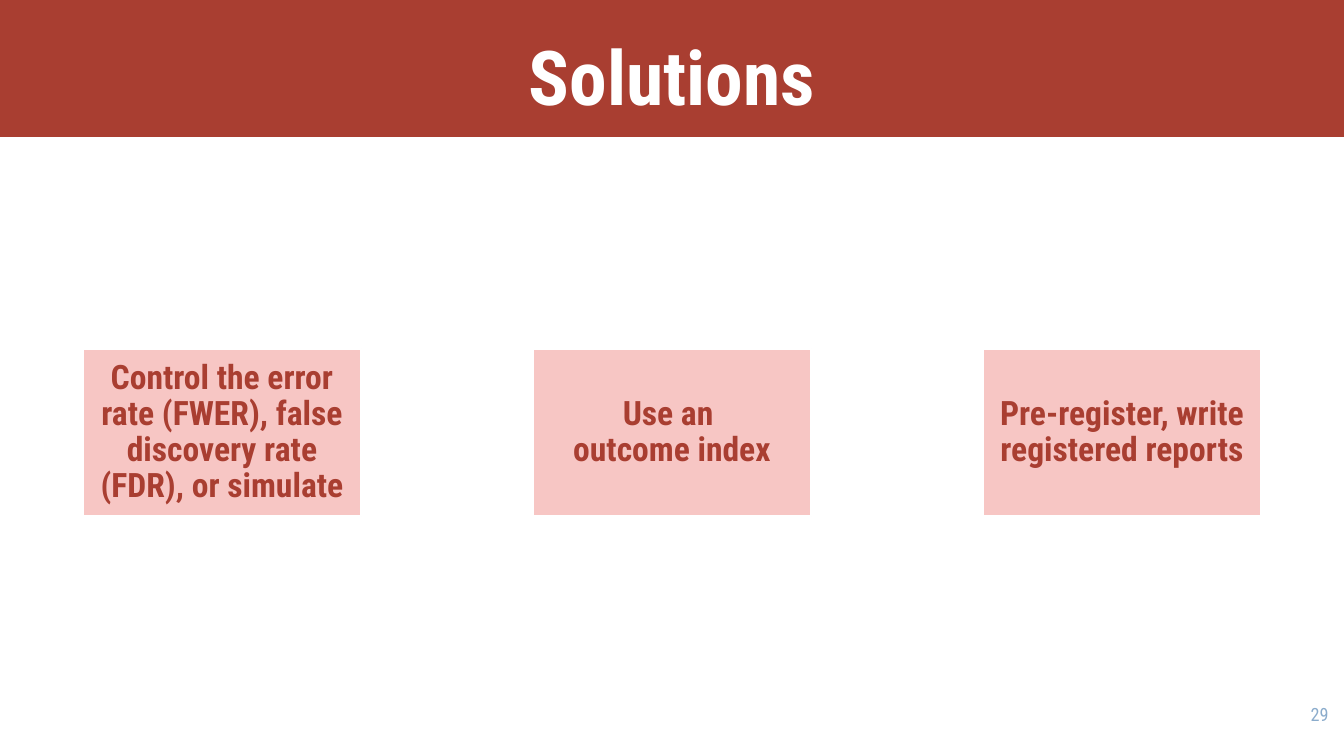
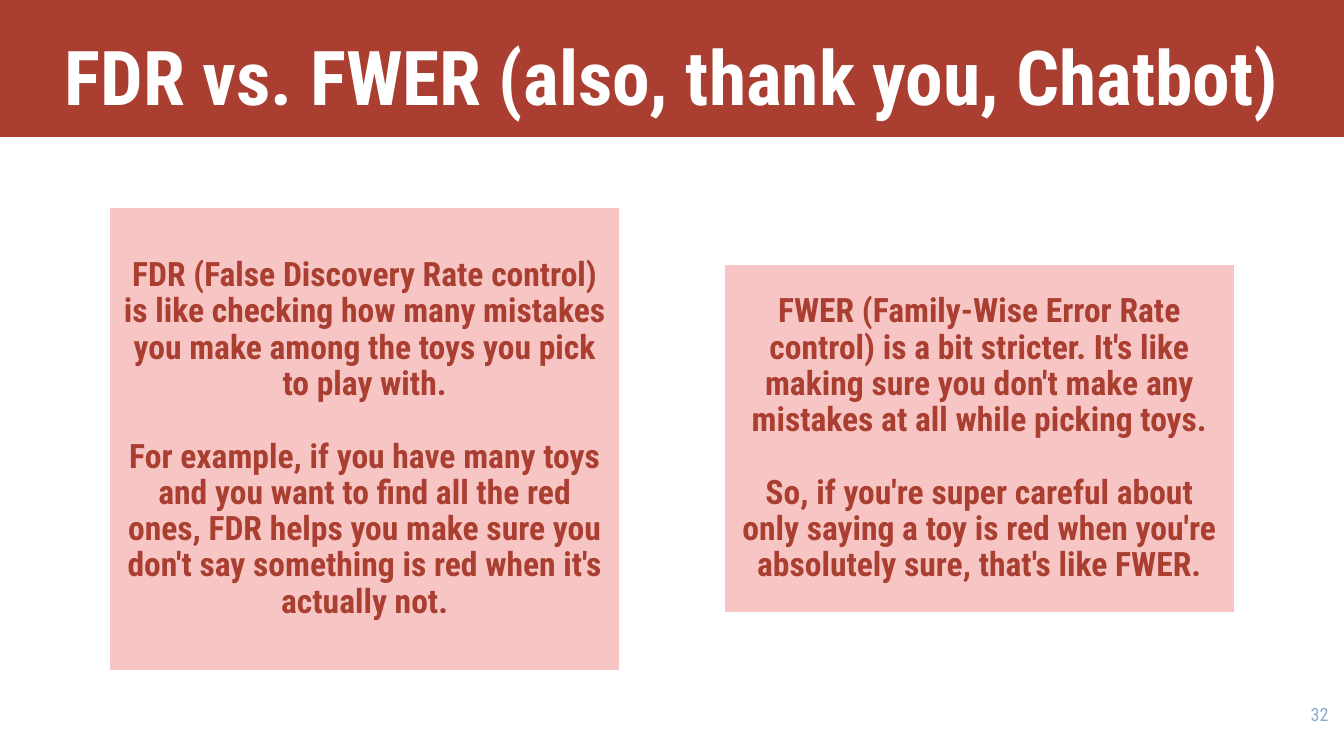
import pptx
import pptx.dml.color
import pptx.enum.shapes
import pptx.enum.text
import pptx.util

Cm = pptx.util.Cm
Pt = pptx.util.Pt
ALIGN = pptx.enum.text.PP_ALIGN
ANCHOR = pptx.enum.text.MSO_ANCHOR

PAGE_WIDTH, PAGE_HEIGHT = 33.87, 19.05


def color(hex_string):
    return pptx.dml.color.RGBColor.from_string(hex_string)


def write_text(shape, *paragraphs, size, fill, bold=False, align=ALIGN.CENTER,
               anchor=ANCHOR.MIDDLE, inset=(0.25, 0.13), line_spacing=None, gap=0):
    """Fill a shape with formatted paragraphs; "\\v" in a text breaks the line."""
    frame = shape.text_frame
    frame.word_wrap = True
    frame.vertical_anchor = anchor
    frame.margin_left = frame.margin_right = Cm(inset[0])
    frame.margin_top = frame.margin_bottom = Cm(inset[1])
    for index, text in enumerate(paragraphs):
        paragraph = frame.add_paragraph() if index else frame.paragraphs[0]
        paragraph.text = text
        paragraph.alignment = align
        paragraph.line_spacing = line_spacing
        paragraph.space_before = Pt(gap if index else 0)
        for run in paragraph.runs:
            run.font.name = Deck.FONT
            run.font.size = Pt(size)
            run.font.bold = bold
            run.font.color.rgb = color(fill)


class Deck:
    FONT = "Roboto Condensed"
    RED, PINK, WHITE, BLUE = "A93E31", "F7C6C4", "FFFFFF", "8BACCC"

    def __init__(self):
        self.presentation = pptx.Presentation()
        self.presentation.slide_width = Cm(PAGE_WIDTH)
        self.presentation.slide_height = Cm(PAGE_HEIGHT)
        self.slide = None

    def add_slide(self, title, number):
        self.slide = self.presentation.slides.add_slide(self.presentation.slide_layouts[6])
        # Title band
        self.add_rectangle(0, 0, PAGE_WIDTH, 3.45, self.RED)
        write_text(self.add_text_box(0, 0, PAGE_WIDTH, 3.17), title,
                   size=54, fill=self.WHITE, bold=True, anchor=ANCHOR.BOTTOM)
        # Slide number
        write_text(self.add_text_box(31.7, 17.6, 2.03, 1.45), number,
                   size=13, fill=self.BLUE, align=ALIGN.RIGHT, anchor=ANCHOR.TOP)

    def add_text_box(self, left, top, width, height):
        return self.slide.shapes.add_textbox(Cm(left), Cm(top), Cm(width), Cm(height))

    def add_rectangle(self, left, top, width, height, fill, outline=None):
        shape = self.slide.shapes.add_shape(
            pptx.enum.shapes.MSO_SHAPE.RECTANGLE, Cm(left), Cm(top), Cm(width), Cm(height))
        shape.shadow.inherit = False
        shape.fill.solid()
        shape.fill.fore_color.rgb = color(fill)
        if outline:
            shape.line.color.rgb = color(outline)
            shape.line.width = Pt(2)
        else:
            shape.line.fill.background()
        return shape

    def add_card_row(self, cards, width, gap, middle):
        """Centre a row of (height, paragraphs) cards on the page."""
        row_width = len(cards) * width + (len(cards) - 1) * gap
        left = (PAGE_WIDTH - row_width) / 2
        for index, (height, paragraphs) in enumerate(cards):
            card = self.add_rectangle(left + index * (width + gap), middle - height / 2,
                                      width, height, self.PINK, self.WHITE)
            write_text(card, *paragraphs, size=24, fill=self.RED, bold=True,
                       inset=(0.3, 0.3), line_spacing=0.9, gap=26)


def main():
    deck = Deck()

    # Solutions
    deck.add_slide("Solutions", "29")
    solutions = [
        "Control the error rate (FWER), false discovery rate (FDR), or simulate",
        "Use an \voutcome index",
        "Pre-register, write registered reports",
    ]
    deck.add_card_row([(4.21, [text]) for text in solutions],
                      width=7.01, gap=4.33, middle=10.9)

    # Comparison of the two error rates
    deck.add_slide("FDR vs. FWER (also, thank you, Chatbot)", "32")
    deck.add_card_row([
        (11.71, [
            "FDR (False Discovery Rate control) is like checking how many mistakes "
            "you make among the toys you pick to play with.",
            "For example, if you have many toys and you want to find all the red ones, "
            "FDR helps you make sure you don't say something is red when it's actually not.",
        ]),
        (8.81, [
            "FWER (Family-Wise Error Rate control) is a bit stricter. It's like making "
            "sure you don't make any mistakes at all while picking toys.",
            "So, if you're super careful about only saying a toy is red when you're "
            "absolutely sure, that's like FWER.",
        ]),
    ], width=12.9, gap=2.59, middle=11.06)

    deck.presentation.save("out.pptx")


if __name__ == "__main__":
    main()
